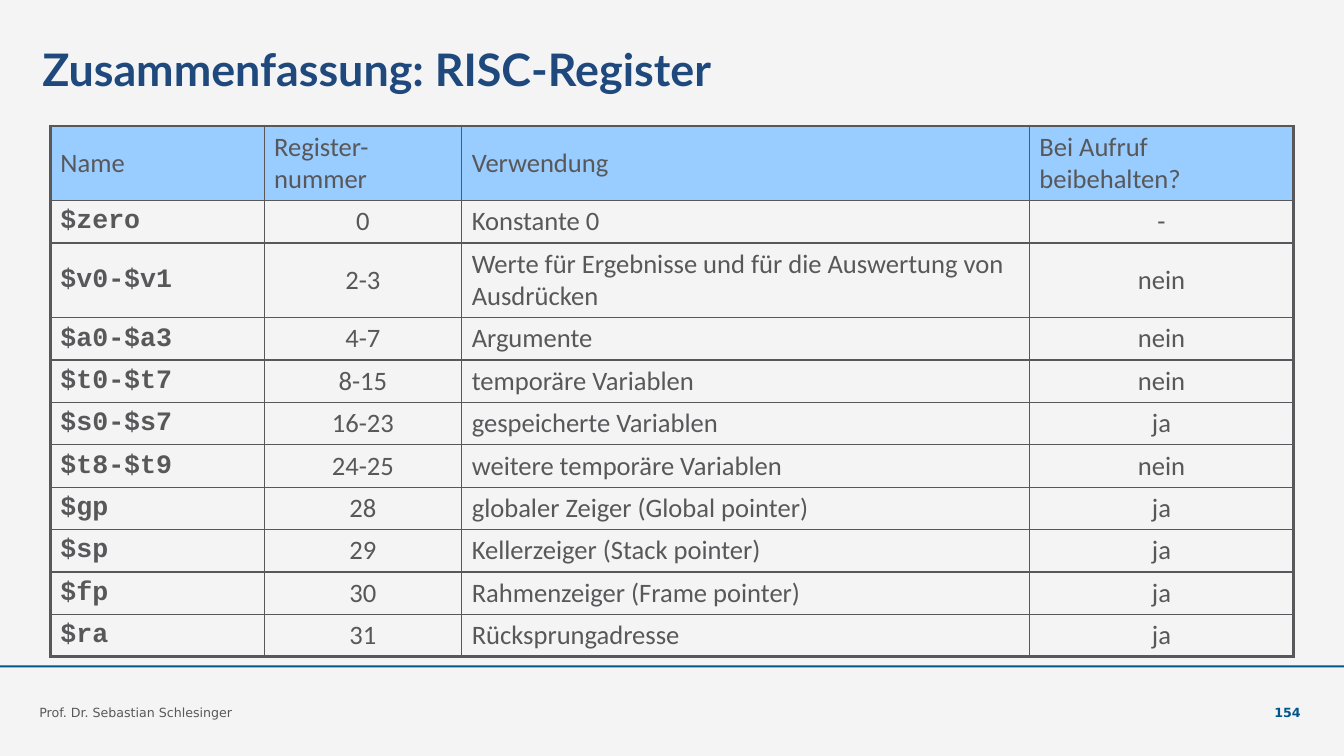
from dataclasses import dataclass

from lxml.etree import SubElement
from pptx import Presentation
from pptx.dml.color import RGBColor
from pptx.enum.shapes import MSO_SHAPE
from pptx.enum.text import MSO_ANCHOR, PP_ALIGN
from pptx.oxml.ns import qn
from pptx.slide import Slide
from pptx.table import _Cell
from pptx.text.text import _Paragraph
from pptx.util import Inches, Pt

COLORS = {
    "background": "F4F4F4",
    "title": "1F497D",
    "accent": "00568A",
    "text": "58585A",
    "header": "99CCFF",
}


@dataclass
class Label:
    text: str
    left: float
    top: float
    width: float
    height: float
    size: float
    font: str
    color: str
    bold: bool = False
    align: PP_ALIGN = PP_ALIGN.LEFT
    anchor: MSO_ANCHOR = MSO_ANCHOR.BOTTOM


@dataclass
class Register:
    name: str
    number: str
    usage: str
    preserved: str
    height: float = 0.42

    def texts(self) -> list[str]:
        return [self.name, self.number, self.usage, self.preserved]


LABELS = [
    Label("Zusammenfassung: RISC-Register", 0.42, 0.37, 8.33, 0.63, 32, "Lato",
          "title", bold=True, anchor=MSO_ANCHOR.MIDDLE),
    Label("Prof. Dr. Sebastian Schlesinger", 0.39, 6.75, 9.2, 0.39, 9,
          "DejaVu Sans", "text"),
    Label("154", 12.03, 6.75, 0.87, 0.39, 9, "DejaVu Sans", "accent",
          bold=True, align=PP_ALIGN.RIGHT),
]

COLUMN_WIDTHS = [2.12, 1.96, 5.63, 2.62]
REGISTERS = [
    Register("Name", "Register-nummer", "Verwendung", "Bei Aufruf beibehalten?", 0.74),
    Register("$zero", "0", "Konstante 0", "-"),
    Register("$v0-$v1", "2-3",
             "Werte für Ergebnisse und für die Auswertung von Ausdrücken", "nein", 0.74),
    Register("$a0-$a3", "4-7", "Argumente", "nein"),
    Register("$t0-$t7", "8-15", "temporäre Variablen", "nein"),
    Register("$s0-$s7", "16-23", "gespeicherte Variablen", "ja"),
    Register("$t8-$t9", "24-25", "weitere temporäre Variablen", "nein"),
    Register("$gp", "28", "globaler Zeiger (Global pointer)", "ja"),
    Register("$sp", "29", "Kellerzeiger (Stack pointer)", "ja"),
    Register("$fp", "30", "Rahmenzeiger (Frame pointer)", "ja"),
    Register("$ra", "31", "Rücksprungadresse", "ja"),
]


def rgb(name: str) -> RGBColor:
    return RGBColor.from_string(COLORS[name])


def write(p: _Paragraph, text: str, size: float, font: str, color: str,
          bold: bool, align: PP_ALIGN) -> None:
    p.alignment = align
    r = p.add_run()
    r.text = text
    for key, value in {"size": Pt(size), "name": font, "bold": bold}.items():
        setattr(r.font, key, value)
    r.font.color.rgb = rgb(color)


def add_label(s: Slide, label: Label) -> None:
    sp = s.shapes.add_textbox(Inches(label.left), Inches(label.top),
                              Inches(label.width), Inches(label.height))
    tf = sp.text_frame
    layout = {"word_wrap": True, "vertical_anchor": label.anchor, "margin_left": 0,
              "margin_right": 0, "margin_top": 0, "margin_bottom": 0}
    for key, value in layout.items():
        setattr(tf, key, value)
    write(tf.paragraphs[0], label.text, label.size, label.font, label.color,
          label.bold, label.align)


def set_borders(cell: _Cell, row: int, col: int) -> None:
    outer = {
        "a:lnL": col == 0,
        "a:lnR": col == len(COLUMN_WIDTHS) - 1,
        "a:lnT": row == 0,
        "a:lnB": row == len(REGISTERS) - 1,
    }
    tc_pr = cell._tc.get_or_add_tcPr()
    for tag, is_outer in outer.items():
        ln = SubElement(tc_pr, qn(tag), w=str(Pt(2.25 if is_outer else 1)))
        fill = SubElement(ln, qn("a:solidFill"))
        SubElement(fill, qn("a:srgbClr"), val=COLORS["text"])


def fill_cell(cell: _Cell, text: str, row: int, col: int) -> None:
    set_borders(cell, row, col)
    header = row == 0
    if header:
        cell.fill.solid()
        cell.fill.fore_color.rgb = rgb("header")
    else:
        cell.fill.background()
    layout = {"vertical_anchor": MSO_ANCHOR.MIDDLE,
              "margin_left": Inches(0.1), "margin_right": Inches(0.1),
              "margin_top": Inches(0.05), "margin_bottom": Inches(0.05)}
    for key, value in layout.items():
        setattr(cell, key, value)
    code = col == 0 and not header
    centered = col in (1, 3) and not header
    write(cell.text_frame.paragraphs[0], text, 19,
          "Courier New" if code else "Calibri", "text", code,
          PP_ALIGN.CENTER if centered else PP_ALIGN.LEFT)


def add_register_table(s: Slide) -> None:
    height = sum(register.height for register in REGISTERS)
    table = s.shapes.add_table(len(REGISTERS), len(COLUMN_WIDTHS), Inches(0.5),
                               Inches(1.25), Inches(sum(COLUMN_WIDTHS)),
                               Inches(height)).table
    for key, value in {"first_row": False, "horz_banding": False}.items():
        setattr(table, key, value)
    for column, width in zip(table.columns, COLUMN_WIDTHS):
        column.width = Inches(width)
    for row, register in enumerate(REGISTERS):
        table.rows[row].height = Inches(register.height)
        for col, text in enumerate(register.texts()):
            fill_cell(table.cell(row, col), text, row, col)


def add_footer_rule(s: Slide) -> None:
    sp = s.shapes.add_shape(MSO_SHAPE.RECTANGLE, 0, Inches(6.6),
                            Inches(13.33), Inches(0.02))
    sp.shadow.inherit = False
    sp.fill.solid()
    sp.fill.fore_color.rgb = rgb("accent")
    sp.line.fill.background()


def main() -> None:
    prs = Presentation()
    prs.slide_width = Inches(13.33)
    prs.slide_height = Inches(7.5)
    s = prs.slides.add_slide(prs.slide_layouts[6])
    s.background.fill.solid()
    s.background.fill.fore_color.rgb = rgb("background")
    add_footer_rule(s)
    add_register_table(s)
    for label in LABELS:
        add_label(s, label)
    prs.save("out.pptx")


if __name__ == "__main__":
    main()
